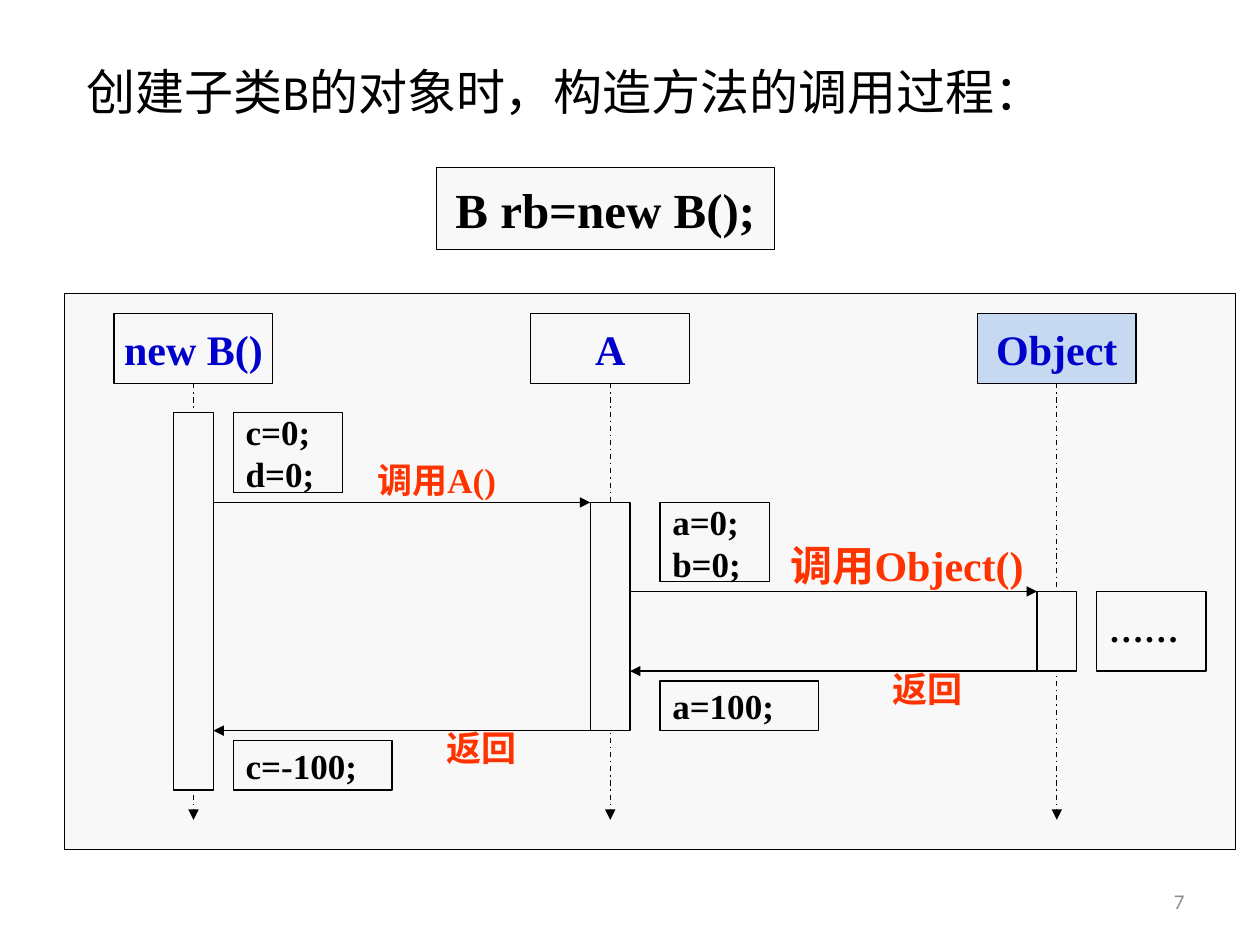
from pptx import Presentation
from pptx.dml.color import RGBColor
from pptx.enum.dml import MSO_LINE
from pptx.enum.shapes import MSO_CONNECTOR, MSO_SHAPE
from pptx.enum.text import MSO_ANCHOR, PP_ALIGN
from pptx.oxml.ns import qn
from pptx.util import Pt
from lxml.etree import SubElement

BLACK = RGBColor(0x00, 0x00, 0x00)
PALE = RGBColor(0xF8, 0xF8, 0xF8)
SKY = RGBColor(0xC6, 0xD9, 0xF1)
BLUE = RGBColor(0x00, 0x00, 0xCC)
RED = RGBColor(0xFF, 0x33, 0x00)
GREY = RGBColor(0x8C, 0x8C, 0x8C)
SERIF, SANS = "Times New Roman", "Calibri"


class Diagram:
    """Style and current slide; all lengths are in points."""

    line_width = 0.75

    def __init__(self, slide):
        self.s = slide

    def set_text(self, shape, text, size, color=BLACK, align=PP_ALIGN.CENTER,
                 font=SERIF, bold=True, wrap=False, anchor=MSO_ANCHOR.MIDDLE):
        tf = shape.text_frame
        tf.text = text
        tf.word_wrap = wrap
        tf.vertical_anchor = anchor
        for p in tf.paragraphs:
            p.alignment = align
            for r in p.runs:
                r.font.name, r.font.size, r.font.bold = font, Pt(size), bold
                r.font.color.rgb = color
        return tf

    def title(self, text, x, y, w, h):
        sp = self.s.shapes.title
        sp.left, sp.top, sp.width, sp.height = Pt(x), Pt(y), Pt(w), Pt(h)
        self.set_text(sp, text, 28, align=PP_ALIGN.LEFT, font=SANS, bold=False,
                      anchor=MSO_ANCHOR.TOP)

    def box(self, x, y, w, h, fill=PALE):
        sp = self.s.shapes.add_shape(MSO_SHAPE.RECTANGLE, Pt(x), Pt(y), Pt(w), Pt(h))
        sp.shadow.inherit = False
        sp.fill.solid()
        sp.fill.fore_color.rgb = fill
        sp.line.color.rgb = BLACK
        sp.line.width = Pt(self.line_width)
        return sp

    def code(self, text, x, y, w, h):
        return self.set_text(self.box(x, y, w, h), text, 20, align=PP_ALIGN.LEFT)

    def label(self, text, x, y, w, h, size=20, color=RED, **style):
        sp = self.s.shapes.add_textbox(Pt(x), Pt(y), Pt(w), Pt(h))
        style = {"wrap": True, "anchor": MSO_ANCHOR.TOP, **style}
        self.set_text(sp, text, size, color, **style)

    def arrow(self, x1, y1, x2, y2, dash=None):
        c = self.s.shapes.add_connector(MSO_CONNECTOR.STRAIGHT,
                                        Pt(x1), Pt(y1), Pt(x2), Pt(y2))
        c.line.color.rgb = BLACK
        c.line.width = Pt(self.line_width)
        if dash:
            c.line.dash_style = dash
        props = c._element.spPr
        SubElement(props.find(qn("a:ln")), qn("a:tailEnd"), type="triangle")
        SubElement(props, qn("a:effectLst"))


def main():
    prs = Presentation()
    prs.slide_width, prs.slide_height = Pt(720), Pt(540)
    d = Diagram(prs.slides.add_slide(prs.slide_layouts[5]))

    # Title and statement
    d.title("创建子类B的对象时，构造方法的调用过程：", 42.5, 31.7, 567.4, 41)
    d.set_text(d.box(249.4, 95.8, 193, 46.8), "B rb=new B();", 28)

    # Frame, then participants with lifelines and activation bars
    d.box(36.9, 167.9, 669, 317.5)
    head_top, head_w, head_h, life_end = 179.3, 90.7, 39.7, 468.5
    bar_w = 22.7
    half = bar_w / 2
    b_x, a_x, obj_x = 110.6, 348.7, 603.9
    start_b, call_a, call_obj = 235.9, 287.1, 338
    return_obj, return_a, end_b = 383.5, 417.5, 451.5
    participants = [
        ("new B()", b_x, PALE, start_b, end_b),
        ("A", a_x, PALE, call_a, return_a),
        ("Object", obj_x, SKY, call_obj, return_obj),
    ]
    for name, x, fill, start, end in participants:
        head = d.box(x - head_w / 2, head_top, head_w, head_h, fill)
        d.set_text(head, name, 24, BLUE)
        d.arrow(x, head_top + head_h, x, life_end, MSO_LINE.DASH_DOT)
        d.box(x - half, start, bar_w, end - start)

    # Calls and returns
    d.arrow(b_x + half, call_a, a_x - half, call_a)
    d.arrow(a_x + half, call_obj, obj_x - half, call_obj)
    d.arrow(obj_x - half, return_obj, a_x + half, return_obj)
    d.arrow(a_x - half, return_a, b_x + half, return_a)

    # Statements beside the activation bars
    b_code, a_code, obj_code = b_x + bar_w, a_x + 28.4, obj_x + bar_w
    pair_w, pair_h, last_h = 62.6, 45.4, 28.4
    d.code("c=0;\nd=0;", b_code, start_b, pair_w, pair_h)
    d.code("a=0;\nb=0;", a_code, call_a, pair_w, pair_h)
    tf = d.code("……", obj_code, call_obj, pair_w, pair_h)
    tf.margin_top = 0
    d.code("a=100;", a_code, return_a - last_h, head_w, last_h)
    d.code("c=-100;", b_code, end_b - last_h, head_w, last_h)

    # Message names
    d.label("调用A()", 178.6, 258.5, 141.8, 31)
    d.label("调用Object()", 439.2, 304.6, 158.4, 36.7, size=24)
    d.label("返回", 490.3, 378, 79.2, 31)
    d.label("返回", 235.4, 411.8, 79.2, 31)

    # Page number
    d.label("7", 516.2, 500.4, 167.8, 28.8, size=12, color=GREY, font=SANS,
            bold=False, align=PP_ALIGN.RIGHT, anchor=MSO_ANCHOR.MIDDLE)

    prs.save("out.pptx")


if __name__ == "__main__":
    main()
